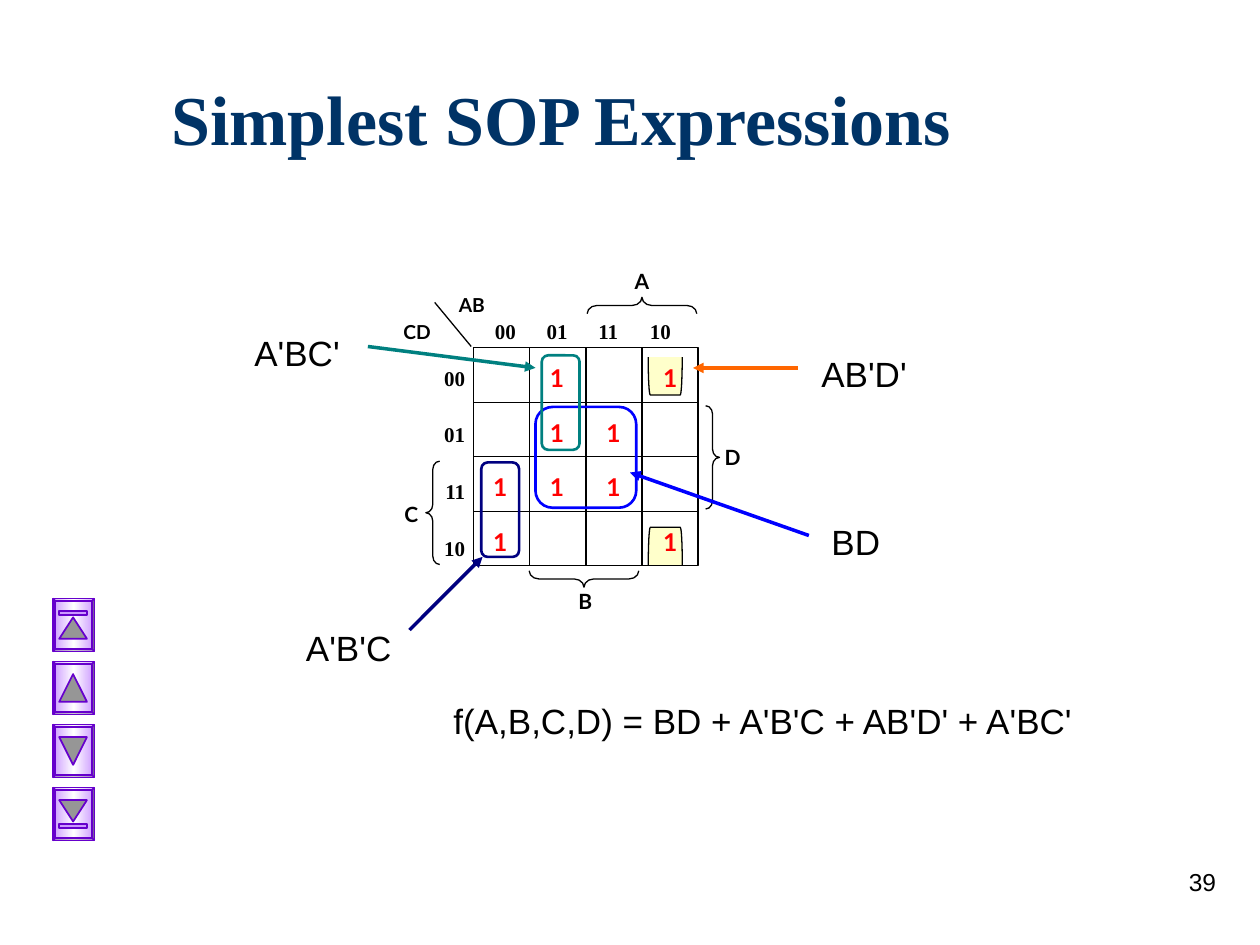
"""Build a Karnaugh map slide showing the simplest sum-of-products expression."""
from dataclasses import dataclass
from typing import NamedTuple, Optional

from lxml.etree import SubElement
from pptx import Presentation
from pptx.dml.color import RGBColor
from pptx.enum.shapes import MSO_CONNECTOR, MSO_SHAPE
from pptx.enum.text import MSO_ANCHOR, PP_ALIGN
from pptx.oxml.ns import qn
from pptx.util import Inches, Pt


@dataclass(frozen=True)
class Theme:
    """Colours, fonts and type sizes of the slide."""
    title: str = "003366"
    ink: str = "000000"
    one: str = "FF0000"
    edge: str = "FFFF99"
    blue: str = "0000FF"
    navy: str = "000080"
    teal: str = "008080"
    orange: str = "FF6600"
    violet: str = "6600CC"
    lilac: str = "CC99FF"
    white: str = "FFFFFF"
    grey: str = "969696"
    serif: str = "Times New Roman"
    sans: str = "Lato"
    plain: str = "Arial"
    title_size: int = 40
    term_size: int = 20
    one_size: int = 14
    label_size: int = 12
    axis_size: int = 11
    thin: float = 0.75


class Area(NamedTuple):
    left: float
    top: float
    width: float
    height: float


class Style(NamedTuple):
    size: int
    font: str
    color: str
    bold: bool = True


class Term(NamedTuple):
    text: str
    area: Area
    start: tuple
    end: tuple
    color: str


class Loop(NamedTuple):
    area: Area
    color: str


class Brace(NamedTuple):
    kind: MSO_SHAPE
    area: Area
    rotation: int
    text: str
    label: Area


class Button(NamedTuple):
    rotation: int
    top: float
    height: float
    bar: Optional[float] = None


THEME = Theme()
LABEL = Style(THEME.label_size, THEME.sans, THEME.ink)
AXIS = Style(THEME.axis_size, THEME.sans, THEME.ink)
CODE = Style(THEME.label_size, THEME.serif, THEME.ink)
ONE = Style(THEME.one_size, THEME.sans, THEME.one)
TERM = Style(THEME.term_size, THEME.plain, THEME.ink, False)
NUMBER = Style(THEME.one_size, THEME.plain, THEME.ink, False)

GRID = Area(3.76, 2.76, 1.78, 1.73)
CODES = ("00", "01", "11", "10")
ONES = ((1, 0), (3, 0), (1, 1), (2, 1), (0, 2), (1, 2), (2, 2), (0, 3), (3, 3))
LOOPS = (
    Loop(Area(4.25, 3.23, 0.8, 0.8), THEME.blue),
    Loop(Area(3.82, 3.67, 0.3, 0.75), THEME.navy),
    Loop(Area(4.3, 2.82, 0.3, 0.75), THEME.teal),
)
BRACES = (
    Brace(MSO_SHAPE.LEFT_BRACE, Area(5.03, 1.99, 0.13, 0.87), 90, "A", Area(4.93, 2.08, 0.33, 0.27)),
    Brace(MSO_SHAPE.LEFT_BRACE, Area(4.57, 4.16, 0.13, 0.87), 270, "B", Area(4.48, 4.62, 0.33, 0.26)),
    Brace(MSO_SHAPE.LEFT_BRACE, Area(3.38, 3.66, 0.11, 0.82), 0, "C", Area(3.1, 3.93, 0.33, 0.35)),
    Brace(MSO_SHAPE.RIGHT_BRACE, Area(5.6, 3.22, 0.11, 0.82), 0, "D", Area(5.65, 3.48, 0.33, 0.35)),
)
TERMS = (
    Term("BD", Area(6.5, 4.08, 0.75, 0.44), (6.42, 4.25), (5, 3.75), THEME.blue),
    Term("AB'D'", Area(6.42, 2.75, 0.92, 0.44), (6.33, 2.92), (5.5, 2.92), THEME.orange),
    Term("A'BC'", Area(1.92, 2.58, 0.92, 0.44), (2.92, 2.75), (4.25, 2.92), THEME.teal),
    Term("A'B'C", Area(2.33, 4.92, 0.92, 0.44), (3.25, 5), (3.83, 4.42), THEME.navy),
)
BUTTONS = (Button(0, 0.15, 0.17, 0.1), Button(0, 0.1, 0.22),
           Button(180, 0.1, 0.22), Button(180, 0.1, 0.17, 0.29))


def rgb(color: str) -> RGBColor:
    """Turn a hex string into a colour."""
    return RGBColor.from_string(color)


def inches(values: tuple) -> list:
    """Turn plain numbers into lengths."""
    return [Inches(value) for value in values]


def add_span(para, text: str, style: Style) -> None:
    """Add one formatted run."""
    span = para.add_run()
    span.text = text
    span.font.size = Pt(style.size)
    span.font.name = style.font
    span.font.bold = style.bold
    span.font.color.rgb = rgb(style.color)


def add_text(page, area: Area, lines: tuple, style: Style, align=PP_ALIGN.LEFT, gap: float = 0):
    """Add a text box with one paragraph for each line."""
    box = page.shapes.add_textbox(*inches(area))
    frame = box.text_frame
    frame.word_wrap = True
    for index, line in enumerate(lines):
        para = frame.add_paragraph() if index else frame.paragraphs[0]
        para.alignment = align
        para.space_after = Pt(gap)
        add_span(para, line, style)
    return box


def add_figure(page, kind, area: Area, line: str, width: float,
               fill: Optional[str] = None, rotation: int = 0, adjust: Optional[float] = None):
    """Add an outlined preset shape."""
    shape = page.shapes.add_shape(kind, *inches(area))
    shape.shadow.inherit = False
    shape.rotation = rotation
    shape.line.color.rgb = rgb(line)
    shape.line.width = Pt(width)
    if fill:
        shape.fill.solid()
        shape.fill.fore_color.rgb = rgb(fill)
    else:
        shape.fill.background()
    if adjust is not None:
        shape.adjustments[0] = adjust
    return shape


def add_line(page, start: tuple, end: tuple, color: str, width: float, arrow: bool = False):
    """Add a straight connector, with an arrowhead if wanted."""
    line = page.shapes.add_connector(MSO_CONNECTOR.STRAIGHT, *inches(start + end))
    line.line.color.rgb = rgb(color)
    line.line.width = Pt(width)
    if arrow:
        SubElement(line.line._get_or_add_ln(), qn("a:tailEnd"), type="triangle")
    SubElement(line._element.spPr, qn("a:effectLst"))
    return line


def add_grid(page) -> None:
    """Draw the four by four map with its codes and ones."""
    for top, rotation in ((4.2, 90), (2.85, 270)):
        bracket = add_figure(page, MSO_SHAPE.LEFT_BRACKET, Area(5.13, top, 0.3, 0.27),
                             THEME.ink, THEME.thin, THEME.edge, rotation, 0.06)
        color = bracket._element.spPr.find(qn("a:solidFill"))[0]
        SubElement(color, qn("a:alpha"), val="50000")
    left, top, width, height = GRID
    frame = add_figure(page, MSO_SHAPE.RECTANGLE, GRID, THEME.ink, THEME.thin)
    for step in (1, 2, 3):
        x, y = left + width * step / 4, top + height * step / 4
        row = add_line(page, (left, y), (left + width, y), THEME.ink, THEME.thin)
        column = add_line(page, (x, top), (x, top + height), THEME.ink, THEME.thin)
        if step == 2:
            row.begin_connect(frame, 1)
            row.end_connect(frame, 3)
            column.begin_connect(frame, 0)
            column.end_connect(frame, 2)
    add_text(page, Area(3.4, 2.85, 0.39, 1.79), CODES, CODE, PP_ALIGN.RIGHT, 18)
    header = add_text(page, Area(3.83, 2.48, 1.66, 0.35), ("\t".join(CODES),), CODE)
    tabs = SubElement(header.text_frame.paragraphs[0]._p.get_or_add_pPr(), qn("a:tabLst"))
    for step in (1, 2, 3):
        SubElement(tabs, qn("a:tab"), pos=str(Inches(0.41 * step)), algn="l")
    add_line(page, (3.74, 2.75), (3.45, 2.4), THEME.ink, THEME.thin)
    add_text(page, Area(3, 2.49, 0.62, 0.29), ("CD",), AXIS, PP_ALIGN.CENTER)
    add_text(page, Area(3.49, 2.28, 0.51, 0.29), ("AB",), AXIS, PP_ALIGN.CENTER)
    for column, row in ONES:
        cell = Area(3.75 + 0.45 * column, 2.83 + 0.435 * row, 0.44, 0.35)
        add_text(page, cell, ("1",), ONE, PP_ALIGN.CENTER)


def add_button(page, button: Button, top: float) -> None:
    """Draw a bevelled navigation button."""
    bevel = add_figure(page, MSO_SHAPE.BEVEL, Area(0.42, top, 0.33, 0.42), THEME.violet, 1, adjust=0.06)
    bevel.fill.gradient()
    bevel.fill.gradient_angle = 0
    for stop in bevel.fill.gradient_stops:
        stop.color.rgb = rgb(THEME.lilac)
    stops = bevel._element.spPr.find(qn("a:gradFill")).find(qn("a:gsLst"))
    middle = SubElement(stops, qn("a:gs"), pos="50000")
    SubElement(middle, qn("a:srgbClr"), val=THEME.white)
    stops.insert(1, middle)
    add_figure(page, MSO_SHAPE.ISOSCELES_TRIANGLE, Area(0.47, top + button.top, 0.22, button.height),
               THEME.violet, 1, THEME.grey, button.rotation)
    if button.bar is not None:
        add_figure(page, MSO_SHAPE.RECTANGLE, Area(0.47, top + button.bar, 0.22, 0.03),
                   THEME.violet, 1, THEME.lilac)


def main() -> None:
    """Build and save the deck."""
    deck = Presentation()
    deck.slide_width, deck.slide_height = Inches(10), Inches(7.5)
    page = deck.slides.add_slide(deck.slide_layouts[5])
    title = page.shapes.title
    title.left, title.top, title.width, title.height = inches((1.26, 0.5, 8.5, 0.87))
    title.text_frame.vertical_anchor = MSO_ANCHOR.MIDDLE
    para = title.text_frame.paragraphs[0]
    para.alignment = PP_ALIGN.LEFT
    add_span(para, "Simplest SOP Expressions", Style(THEME.title_size, THEME.serif, THEME.title))
    add_grid(page)
    for brace in BRACES:
        add_figure(page, brace.kind, brace.area, THEME.ink, THEME.thin, rotation=brace.rotation, adjust=0.6)
        add_text(page, brace.label, (brace.text,), LABEL, PP_ALIGN.CENTER)
    for loop in LOOPS:
        add_figure(page, MSO_SHAPE.ROUNDED_RECTANGLE, loop.area, loop.color, 1.5, adjust=0.17)
    for term in TERMS:
        add_line(page, term.start, term.end, term.color, 2, arrow=True)
        add_text(page, term.area, (term.text,), TERM)
    add_text(page, Area(3.5, 5.5, 5.25, 0.44), ("f(A,B,C,D) = BD + A'B'C + AB'D' + A'BC'",), TERM)
    for index, button in enumerate(BUTTONS):
        add_button(page, button, 4.75 + 0.5 * index)
    add_text(page, Area(7.67, 6.83, 2.08, 0.5), ("39",), NUMBER, PP_ALIGN.RIGHT)
    deck.save("out.pptx")


if __name__ == "__main__":
    main()
